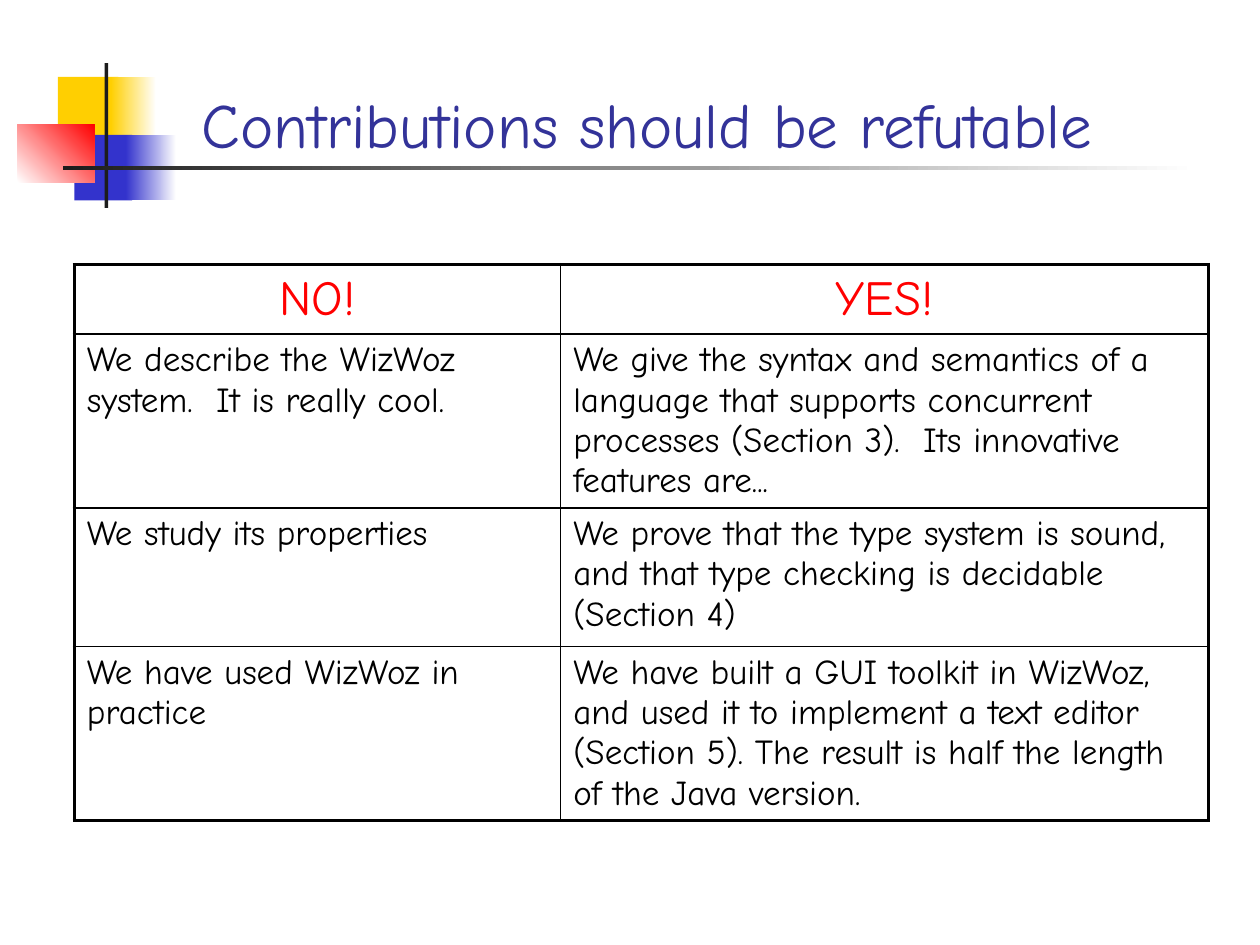
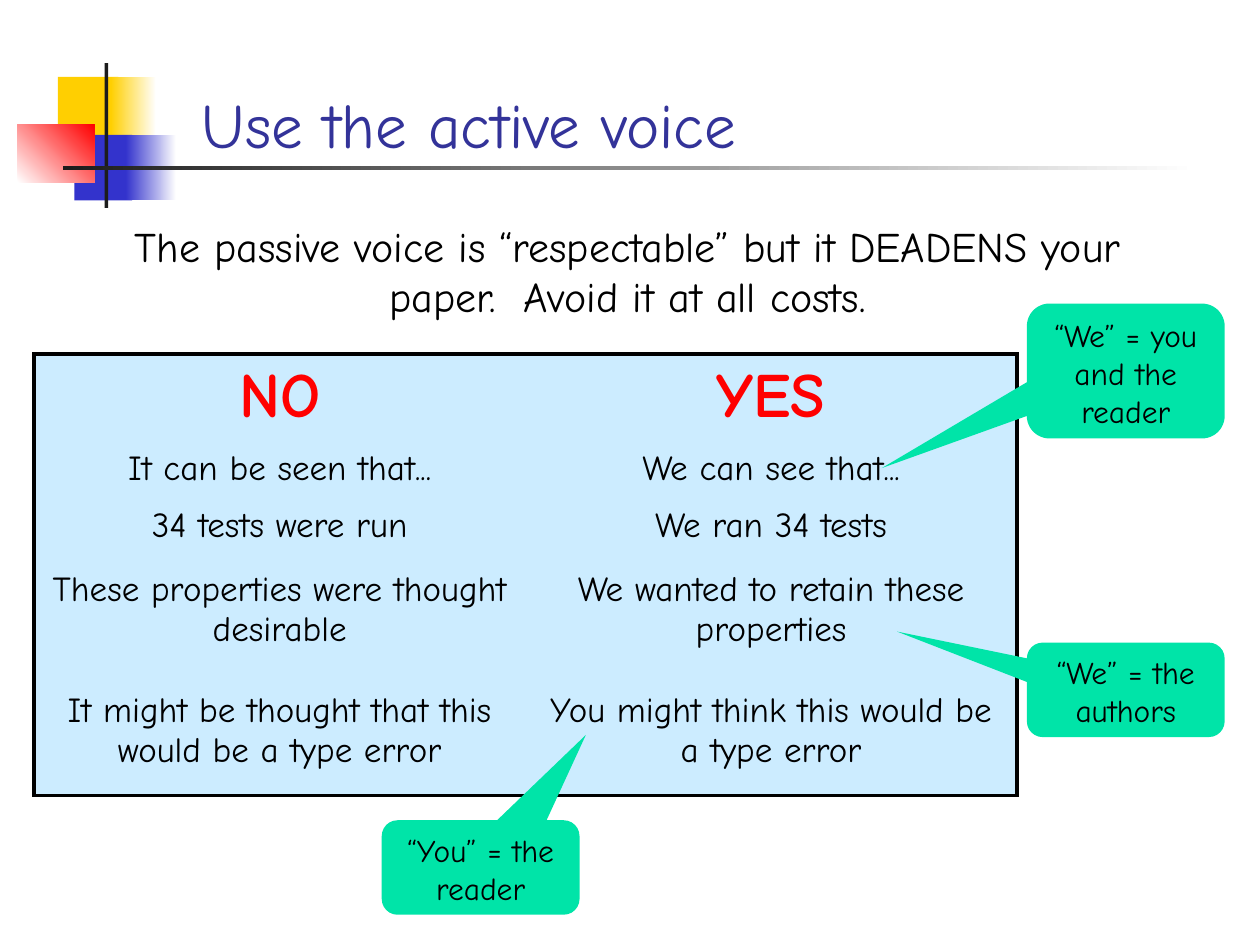
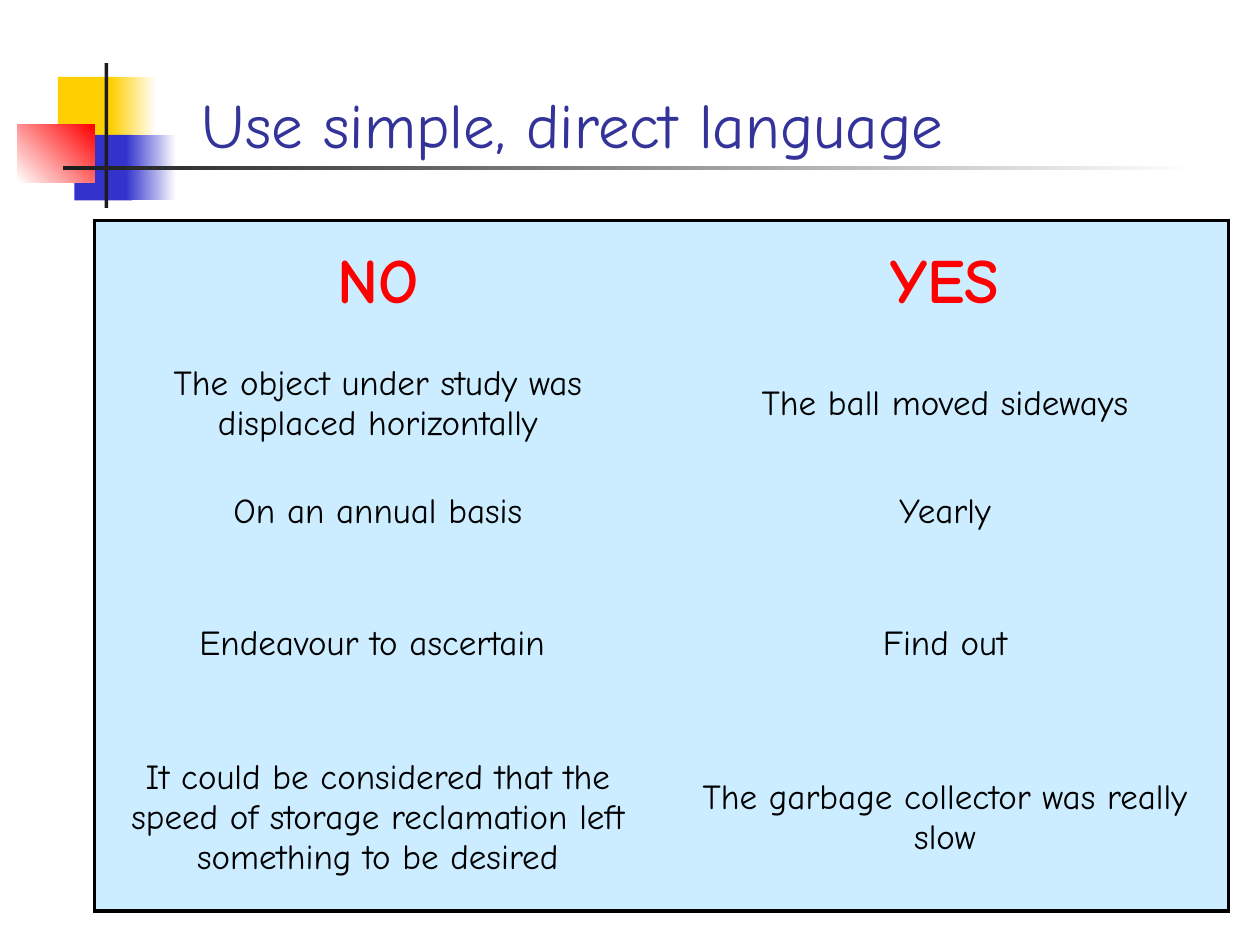
from dataclasses import dataclass
from itertools import product
from typing import NamedTuple, Optional

from lxml.etree import SubElement
from pptx import Presentation
from pptx.dml.color import RGBColor
from pptx.enum.shapes import MSO_SHAPE as Preset
from pptx.enum.text import MSO_ANCHOR as Anchor
from pptx.enum.text import MSO_AUTO_SIZE as AutoSize
from pptx.enum.text import PP_ALIGN as Align
from pptx.oxml import parse_xml
from pptx.oxml.ns import nsdecls, qn
from pptx.util import Inches, Pt


@dataclass(frozen=True)
class Theme:
    font: str = "Comic Neue"
    title: str = "333399"
    text: str = "000000"
    heading: str = "FF0000"
    panel: str = "CCECFF"
    callout: str = "00E4A8"
    yellow: str = "FFCF01"
    blue: str = "3333CC"
    red: str = "FF0000"
    dark: str = "1C1C1C"
    white: str = "FFFFFF"
    title_size: float = 36
    panel_heading_size: float = 36
    grid_heading_size: float = 28
    lead_size: float = 24
    body_size: float = 20
    callout_size: float = 18
    thick: float = 2.25
    thin: float = 1


THEME = Theme()


class Box(NamedTuple):
    left: float
    top: float
    width: float
    height: float

    def emu(self) -> tuple:
        return tuple(Inches(value) for value in self)


class TextStyle(NamedTuple):
    size: float
    color: str = THEME.text
    bold: bool = False
    align: Align = Align.CENTER
    space_before: int = 0  # percent of the line


class Ornament(NamedTuple):
    box: Box
    color: str
    fade_to: Optional[str] = None
    angle: float = 0


class Callout(NamedTuple):
    text: str
    box: Box
    tip: tuple


@dataclass(frozen=True)
class TableStyle:
    heading: TextStyle
    body: TextStyle
    anchor: Anchor
    fill: Optional[str]
    inner_line: Optional[float]


@dataclass(frozen=True)
class Comparison:
    box: Box
    columns: tuple
    row_heights: tuple
    rows: tuple
    style: TableStyle


# Shared look
TITLE_BOX = Box(1.5, 0.08, 8.52, 1.25)
TITLE_STYLE = TextStyle(THEME.title_size, THEME.title, align=Align.LEFT)
LEAD_STYLE = TextStyle(THEME.lead_size, space_before=40)
CALLOUT_STYLE = TextStyle(THEME.callout_size, space_before=40)
CALLOUT_ROUNDING = 0.167

GRID_STYLE = TableStyle(
    heading=TextStyle(THEME.grid_heading_size, THEME.heading, space_before=20),
    body=TextStyle(THEME.body_size, align=Align.LEFT, space_before=20),
    anchor=Anchor.TOP, fill=None, inner_line=THEME.thin)
PANEL_STYLE = TableStyle(
    heading=TextStyle(THEME.panel_heading_size, THEME.heading, bold=True,
                      space_before=20),
    body=TextStyle(THEME.body_size, space_before=20),
    anchor=Anchor.MIDDLE, fill=THEME.panel, inner_line=None)

ORNAMENTS = (
    Ornament(Box(0.46, 0.61, 0.48, 0.52), THEME.yellow),
    Ornament(Box(0.88, 0.61, 0.36, 0.52), THEME.yellow, THEME.white),
    Ornament(Box(0.59, 1.07, 0.46, 0.52), THEME.blue),
    Ornament(Box(1, 1.07, 0.4, 0.52), THEME.blue, THEME.white),
    Ornament(Box(0.14, 0.99, 0.61, 0.46), THEME.white, THEME.red, 45),
    Ornament(Box(0.83, 0.5, 0.03, 1.15), THEME.dark),
    Ornament(Box(0.5, 1.32, 9, 0.03), THEME.dark, THEME.white),
)

# Slide content
REFUTABLE = Comparison(
    Box(0.59, 2.1, 9, 4.54), (3.86, 5.14), (0.55, 1.18, 1.1, 1.18), (
        ("NO!", "YES!"),
        ("We describe the WizWoz system.  It is really cool.",
         "We give the syntax and semantics of a language that supports "
         "concurrent processes (Section 3).  Its innovative features are..."),
        ("We study its properties",
         "We prove that the type system is sound, and that type checking is "
         "decidable (Section 4)"),
        ("We have used WizWoz in practice",
         "We have built a GUI toolkit in WizWoz, and used it to implement a "
         "text editor (Section 5). The result is half the length of the Java "
         "version."),
    ), GRID_STYLE)

ACTIVE_VOICE = Comparison(
    Box(0.27, 2.81, 7.8, 3.55), (3.9, 3.9), (0.63, 0.48, 0.39, 0.91, 1.02), (
        ("NO", "YES"),
        ("It can be seen that...", "We can see that..."),
        ("34 tests were run", "We ran 34 tests"),
        ("These properties were thought desirable",
         "We wanted to retain these properties"),
        ("It might be thought that this would be a type error",
         "You might think this would be a type error"),
    ), PANEL_STYLE)

SIMPLE_LANGUAGE = Comparison(
    Box(0.75, 1.75, 9, 5.48), (4.5, 4.5), (1, 0.92, 0.79, 1.3, 1.47), (
        ("NO", "YES"),
        ("The object under study was displaced horizontally",
         "The ball moved sideways"),
        ("On an annual basis", "Yearly"),
        ("Endeavour to ascertain ", "Find out"),
        ("It could be considered that the speed of storage reclamation left "
         "something to be desired",
         "The garbage collector was really slow"),
    ), PANEL_STYLE)

LEAD_BOX = Box(0.59, 1.7, 8.78, 0.9)
LEAD_TEXT = ("The passive voice is “respectable” but it DEADENS your paper.  "
             "Avoid it at all costs.")
CALLOUTS = (
    Callout("“We” = you and the reader", Box(8.15, 2.41, 1.57, 1.07),
            (-1.233, 0.72)),
    Callout("“We” = the authors", Box(8.15, 5.1, 1.57, 0.75),
            (-1.156, -0.617)),
    Callout("“You” = the reader", Box(3.03, 6.51, 1.57, 0.75),
            (0.532, -1.403)),
)


def write_text(frame, text: str, style: TextStyle) -> None:
    paragraph = frame.paragraphs[0]
    paragraph.alignment = style.align
    if style.space_before:
        properties = paragraph._p.get_or_add_pPr()
        properties.insert(0, parse_xml(
            f'<a:spcBef {nsdecls("a")}>'
            f'<a:spcPct val="{style.space_before * 1000}"/></a:spcBef>'))
    run = paragraph.add_run()
    run.text = text
    run.font.name = THEME.font
    run.font.size = Pt(style.size)
    run.font.bold = style.bold
    run.font.color.rgb = RGBColor.from_string(style.color)


def set_solid(fill, color: str) -> None:
    fill.solid()
    fill.fore_color.rgb = RGBColor.from_string(color)


def add_plain_shape(slide, preset: Preset, box: Box):
    shape = slide.shapes.add_shape(preset, *box.emu())
    shape.shadow.inherit = False
    shape.line.fill.background()
    return shape


def move_ornaments_to_master(slide, master) -> None:
    """Draw the corner ornament and place it behind the master's placeholders."""
    tree = master.shapes.element
    for index, ornament in enumerate(ORNAMENTS):
        shape = add_plain_shape(slide, Preset.RECTANGLE, ornament.box)
        if ornament.fade_to:
            shape.fill.gradient()
            shape.fill.gradient_angle = ornament.angle
            colors = (ornament.color, ornament.fade_to)
            for stop, color in zip(shape.fill.gradient_stops, colors):
                stop.color.rgb = RGBColor.from_string(color)
        else:
            set_solid(shape.fill, ornament.color)
        shape.element.xpath(".//p:cNvPr")[0].set("id", str(100 + index))
        tree.insert(2 + index, shape.element)


def add_titled_slide(presentation, title: str):
    slide = presentation.slides.add_slide(presentation.slide_layouts[5])
    shape = slide.shapes.title
    shape.left, shape.top, shape.width, shape.height = TITLE_BOX.emu()
    frame = shape.text_frame
    frame.vertical_anchor = Anchor.BOTTOM
    frame.auto_size = AutoSize.NONE
    write_text(frame, title, TITLE_STYLE)
    return slide


def set_borders(cell, widths: dict) -> None:
    properties = cell._tc.get_or_add_tcPr()
    for index, (side, width) in enumerate(widths.items()):
        line = properties.makeelement(qn(f"a:ln{side}"))
        properties.insert(index, line)
        if width is None:
            SubElement(line, qn("a:noFill"))
            continue
        line.set("w", str(Pt(width)))
        solid = SubElement(line, qn("a:solidFill"))
        SubElement(solid, qn("a:srgbClr")).set("val", THEME.text)


def add_comparison(slide, comparison: Comparison) -> None:
    style = comparison.style
    row_count, column_count = len(comparison.rows), len(comparison.columns)
    graphic = slide.shapes.add_table(row_count, column_count,
                                     *comparison.box.emu())
    table = graphic.table
    table.first_row = table.horz_banding = False
    for column, width in zip(table.columns, comparison.columns):
        column.width = Inches(width)
    for row, height in zip(table.rows, comparison.row_heights):
        row.height = Inches(height)
    graphic.height = Inches(comparison.box.height)

    for row, column in product(range(row_count), range(column_count)):
        cell = table.cell(row, column)
        cell.vertical_anchor = style.anchor
        write_text(cell.text_frame, comparison.rows[row][column],
                   style.body if row else style.heading)
        if style.fill:
            set_solid(cell.fill, style.fill)
        else:
            cell.fill.background()
        outer = {"L": column == 0, "R": column == column_count - 1,
                 "T": row == 0, "B": row == row_count - 1}
        set_borders(cell, {side: THEME.thick if edge else style.inner_line
                           for side, edge in outer.items()})


def add_lead(slide, text: str, box: Box) -> None:
    frame = slide.shapes.add_textbox(*box.emu()).text_frame
    frame.word_wrap = True
    frame.auto_size = AutoSize.SHAPE_TO_FIT_TEXT
    write_text(frame, text, LEAD_STYLE)


def add_callout(slide, callout: Callout) -> None:
    shape = add_plain_shape(slide, Preset.ROUNDED_RECTANGULAR_CALLOUT,
                            callout.box)
    set_solid(shape.fill, THEME.callout)
    for index, value in enumerate((*callout.tip, CALLOUT_ROUNDING)):
        shape.adjustments[index] = value
    frame = shape.text_frame
    frame.word_wrap = True
    frame.vertical_anchor = Anchor.TOP
    frame.auto_size = AutoSize.SHAPE_TO_FIT_TEXT
    write_text(frame, callout.text, CALLOUT_STYLE)


def main() -> None:
    presentation = Presentation()
    presentation.slide_width = Inches(10)
    presentation.slide_height = Inches(7.5)

    # Contributions
    slide = add_titled_slide(presentation, "Contributions should be refutable")
    move_ornaments_to_master(slide, presentation.slide_master)
    add_comparison(slide, REFUTABLE)

    # Active voice
    slide = add_titled_slide(presentation, "Use the active voice")
    add_comparison(slide, ACTIVE_VOICE)
    add_lead(slide, LEAD_TEXT, LEAD_BOX)
    for callout in CALLOUTS:
        add_callout(slide, callout)

    # Simple language
    slide = add_titled_slide(presentation, "Use simple, direct language")
    add_comparison(slide, SIMPLE_LANGUAGE)

    presentation.save("out.pptx")


if __name__ == "__main__":
    main()
